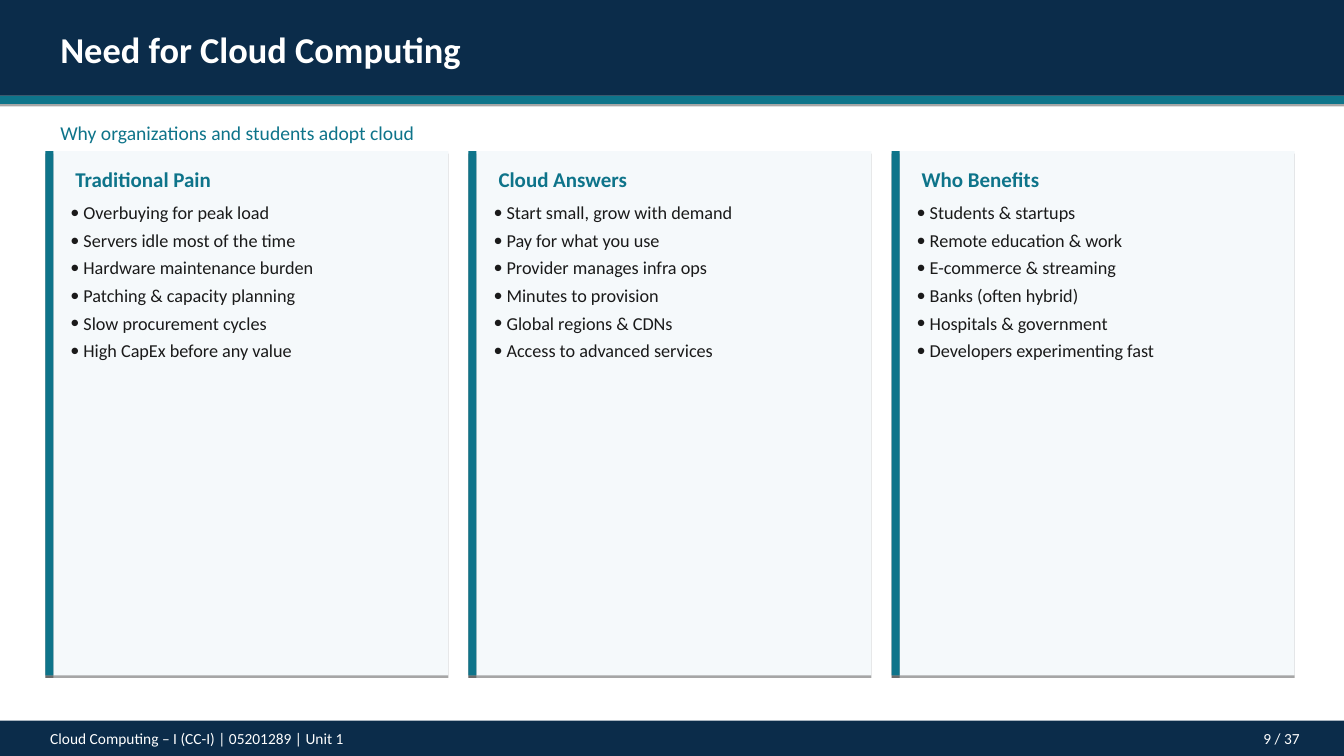
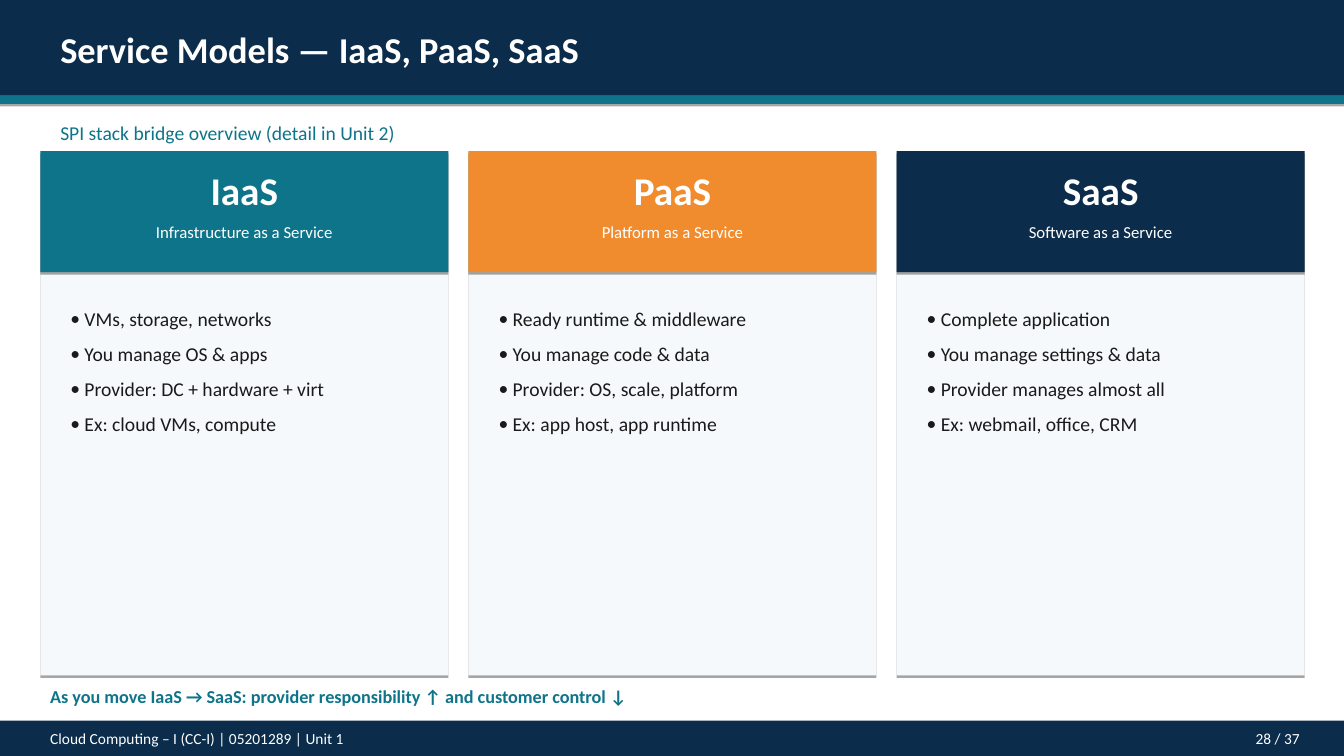
from lxml import etree
from pptx import Presentation
from pptx.dml.color import RGBColor
from pptx.enum.shapes import MSO_SHAPE
from pptx.enum.text import PP_ALIGN
from pptx.oxml import parse_xml
from pptx.oxml.ns import nsdecls, qn
from pptx.util import Inches, Pt

RECTANGLE = MSO_SHAPE.RECTANGLE
LEFT, CENTER, RIGHT = PP_ALIGN.LEFT, PP_ALIGN.CENTER, PP_ALIGN.RIGHT

COLORS = {
    "navy": "0B2C4A",
    "teal": "0E748A",
    "orange": "F08C2E",
    "panel": "F5F9FB",
    "ink": "1A1A1A",
    "white": "FFFFFF",
}
FONT = "Calibri"
SLIDE_WIDTH, SLIDE_HEIGHT = 13.34, 7.5
FOOTER = "Cloud Computing – I (CC-I) | 05201289 | Unit 1"
PAGE_COUNT = 37
COLUMN_TOP, COLUMN_HEIGHT, COLUMN_GAP = 1.5, 5.2, 0.2
SHADOW = (
    f'<a:effectLst {nsdecls("a")}>'
    '<a:outerShdw blurRad="0" dist="23000" dir="5400000" rotWithShape="0">'
    '<a:srgbClr val="000000"><a:alpha val="35000"/></a:srgbClr>'
    "</a:outerShdw></a:effectLst>"
)

NEEDS = [
    ("Traditional Pain", [
        "Overbuying for peak load",
        "Servers idle most of the time",
        "Hardware maintenance burden",
        "Patching & capacity planning",
        "Slow procurement cycles",
        "High CapEx before any value",
    ]),
    ("Cloud Answers", [
        "Start small, grow with demand",
        "Pay for what you use",
        "Provider manages infra ops",
        "Minutes to provision",
        "Global regions & CDNs",
        "Access to advanced services",
    ]),
    ("Who Benefits", [
        "Students & startups",
        "Remote education & work",
        "E-commerce & streaming",
        "Banks (often hybrid)",
        "Hospitals & government",
        "Developers experimenting fast",
    ]),
]

SERVICE_MODELS = [
    ("IaaS", "Infrastructure as a Service", "teal", [
        "VMs, storage, networks",
        "You manage OS & apps",
        "Provider: DC + hardware + virt",
        "Ex: cloud VMs, compute",
    ]),
    ("PaaS", "Platform as a Service", "orange", [
        "Ready runtime & middleware",
        "You manage code & data",
        "Provider: OS, scale, platform",
        "Ex: app host, app runtime",
    ]),
    ("SaaS", "Software as a Service", "navy", [
        "Complete application",
        "You manage settings & data",
        "Provider manages almost all",
        "Ex: webmail, office, CRM",
    ]),
]


def add_block(slide, left, top, width, height, color):
    """Add a borderless rectangle with the deck's hard lower shadow."""
    shape = slide.shapes.add_shape(
        RECTANGLE, Inches(left), Inches(top), Inches(width), Inches(height)
    )
    shape.fill.solid()
    shape.fill.fore_color.rgb = RGBColor.from_string(COLORS[color])
    shape.line.fill.background()
    shape.shadow.inherit = False
    properties = shape.fill._xPr
    properties.replace(properties.find(qn("a:effectLst")), parse_xml(SHADOW))


def add_bullet(paragraph, indent):
    """Give a paragraph a round bullet with a hanging indent."""
    properties = paragraph._p.get_or_add_pPr()
    properties.set("marL", str(Inches(indent)))
    properties.set("indent", str(-Inches(indent)))
    etree.SubElement(properties, qn("a:buFont")).set("typeface", FONT)
    etree.SubElement(properties, qn("a:buChar")).set("char", "•")


def add_text(slide, left, top, width, height, lines, size, color,
             bold=False, align=LEFT, bulleted=False, space_after=0):
    """Add a text box with one paragraph per line."""
    box = slide.shapes.add_textbox(
        Inches(left), Inches(top), Inches(width), Inches(height)
    )
    frame = box.text_frame
    frame.word_wrap = True
    frame.text = "\n".join(lines)
    for paragraph in frame.paragraphs:
        if bulleted:
            add_bullet(paragraph, size / 100)
        paragraph.alignment = align
        paragraph.space_after = Pt(space_after)
        paragraph.font.name = FONT
        paragraph.font.size = Pt(size)
        paragraph.font.bold = bold
        paragraph.font.color.rgb = RGBColor.from_string(COLORS[color])


def add_frame(presentation, title, subtitle, page):
    """Add a slide with its title band, subtitle and footer."""
    slide = presentation.slides.add_slide(presentation.slide_layouts[6])
    add_block(slide, 0, 0, SLIDE_WIDTH, 0.95, "navy")
    add_block(slide, 0, 0.95, SLIDE_WIDTH, 0.08, "teal")
    add_text(slide, 0.5, 0.22, 11.5, 0.53, [title], 26, "white", bold=True)
    add_text(slide, 0.5, 1.15, 12, 0.33, [subtitle], 14, "teal")
    add_block(slide, 0, 7.15, SLIDE_WIDTH, 0.35, "navy")
    add_text(slide, 0.4, 7.18, 9, 0.28, [FOOTER], 11, "white")
    add_text(slide, 11.2, 7.18, 1.8, 0.28, [f"{page} / {PAGE_COUNT}"], 11,
             "white", align=RIGHT)
    return slide


def add_need_card(slide, left, top, width, height, heading, points):
    """Add a panel with a teal edge, a heading and bullets."""
    add_block(slide, left, top, width, height, "panel")
    add_block(slide, left, top, 0.08, height, "teal")
    add_text(slide, left + 0.2, top + 0.1, width - 0.3, 0.35, [heading], 15,
             "teal", bold=True)
    add_text(slide, left + 0.15, top + 0.45, width - 0.25, 1.7, points, 13,
             "ink", bulleted=True, space_after=4.1)


def add_model_card(slide, left, top, width, height, name, meaning, color, points):
    """Add a panel with a coloured name header and bullets."""
    add_block(slide, left, top, width, height, "panel")
    add_block(slide, left, top, width, 1.2, color)
    add_text(slide, left, top + 0.1, width, 0.57, [name], 28, "white",
             bold=True, align=CENTER)
    add_text(slide, left + 0.1, top + 0.65, width - 0.2, 0.3, [meaning], 12,
             "white", align=CENTER)
    add_text(slide, left + 0.2, top + 1.5, width - 0.35, 1.38, points, 14,
             "ink", bulleted=True, space_after=8.1)


def add_columns(slide, left, width, add_card, cards):
    """Place cards side by side with equal gaps."""
    for index, card in enumerate(cards):
        card_left = left + index * (width + COLUMN_GAP)
        add_card(slide, card_left, COLUMN_TOP, width, COLUMN_HEIGHT, *card)


def build_needs_slide(presentation):
    """Build the slide on why cloud computing is needed."""
    slide = add_frame(presentation, "Need for Cloud Computing",
                      "Why organizations and students adopt cloud", 9)
    add_columns(slide, 0.45, 4, add_need_card, NEEDS)


def build_models_slide(presentation):
    """Build the slide on the three service models."""
    slide = add_frame(presentation, "Service Models — IaaS, PaaS, SaaS",
                      "SPI stack bridge overview (detail in Unit 2)", 28)
    add_columns(slide, 0.4, 4.05, add_model_card, SERVICE_MODELS)
    takeaway = ("As you move IaaS → SaaS: provider responsibility ↑ "
                "and customer control ↓")
    add_text(slide, 0.4, 6.75, 12.5, 0.32, [takeaway], 13, "teal", bold=True)


def main():
    """Build and save the presentation."""
    presentation = Presentation()
    presentation.slide_width = Inches(SLIDE_WIDTH)
    presentation.slide_height = Inches(SLIDE_HEIGHT)
    build_needs_slide(presentation)
    build_models_slide(presentation)
    presentation.save("out.pptx")


if __name__ == "__main__":
    main()
